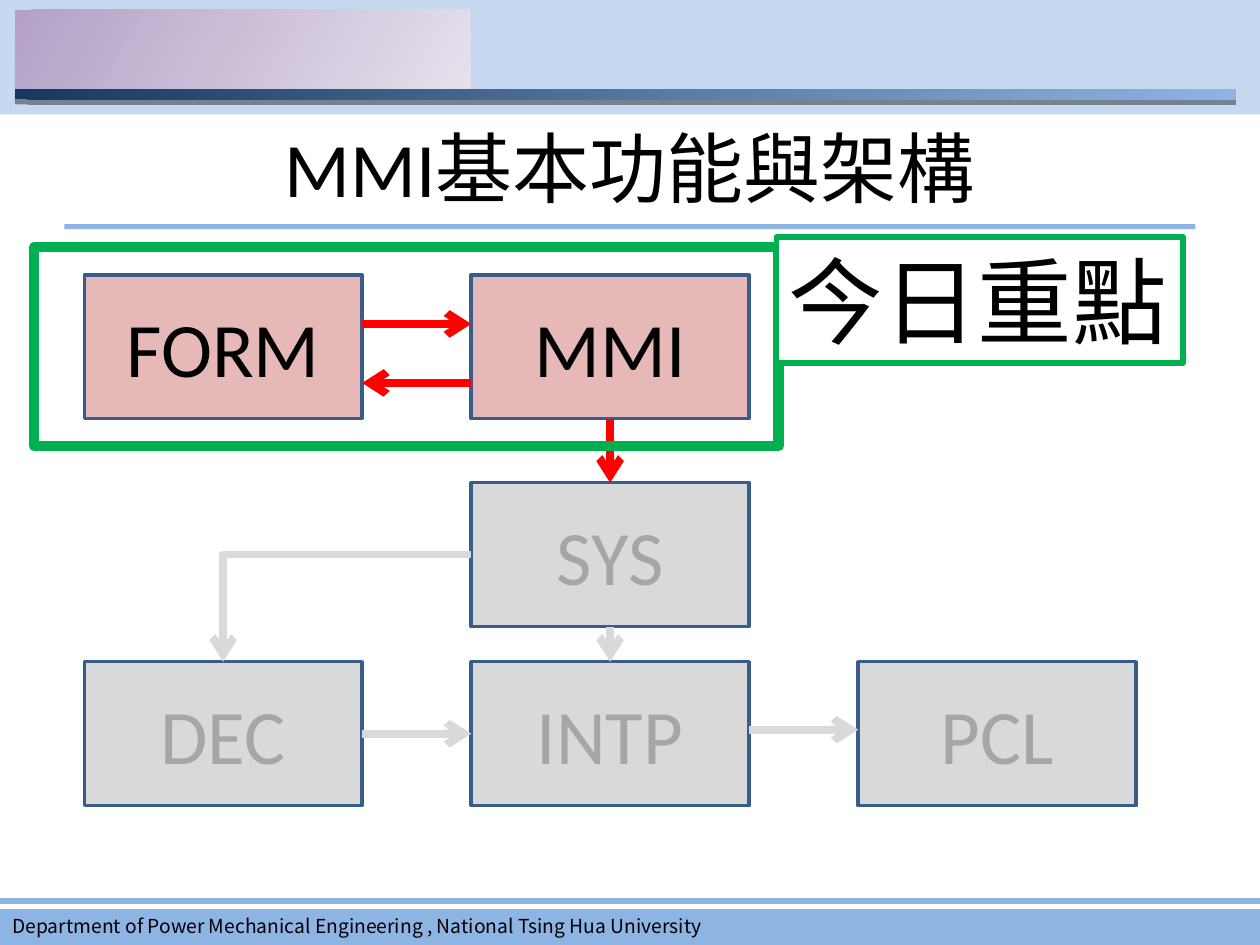
from lxml.etree import SubElement
from pptx import Presentation
from pptx.dml.color import RGBColor
from pptx.enum.shapes import MSO_CONNECTOR as Link, MSO_SHAPE as Shape
from pptx.enum.text import MSO_ANCHOR as Anchor, PP_ALIGN as Align
from pptx.oxml import parse_xml
from pptx.oxml.ns import nsdecls, qn
from pptx.util import Cm, Pt

rgb = RGBColor.from_string
BLUE, GREEN, RED, GREY = "8EB4E3", "00B050", "FF0000", "D9D9D9"

prs = Presentation()
prs.slide_width, prs.slide_height = Cm(25.4), Cm(19.05)
slide = prs.slides.add_slide(prs.slide_layouts[5])
shapes = slide.shapes


def block(area, fill=None, line=None, width=0):
    """Add a rectangle; a pair of fill colours makes a gradient."""
    rect = shapes.add_shape(Shape.RECTANGLE, *map(Cm, area))
    rect.shadow.inherit = False
    if fill is None:
        rect.fill.background()
    elif isinstance(fill, tuple):
        rect.fill.gradient()
        rect.fill.gradient_angle = 330
        for stop, tone in zip(rect.fill.gradient_stops, fill):
            stop.color.rgb = rgb(tone)
    else:
        rect.fill.solid()
        rect.fill.fore_color.rgb = rgb(fill)
    if line:
        rect.line.color.rgb = rgb(line)
        rect.line.width = Pt(width)
    else:
        rect.line.fill.background()
    return rect


def write(frame, text, size, color="000000", align=Align.LEFT, font="Calibri"):
    frame.word_wrap = True
    frame.text = text
    para = frame.paragraphs[0]
    para.alignment = align
    para.font.size = Pt(size)
    para.font.name = font
    para.font.color.rgb = rgb(color)


# Header and footer bands
block((0, 0, 25.4, 2.31), "C6D9F1")
block((0.3, 0.2, 9.2, 1.6), ("B3A2C7", "E6E0EC"))
bar = block((0.3, 1.8, 24.61, 0.2), ("17375E", BLUE))
effects = bar._element.spPr.find(qn("a:effectLst"))
effects.append(parse_xml(
    f'<a:outerShdw {nsdecls("a")} dist="38100" dir="5400000" rotWithShape="0">'
    '<a:srgbClr val="000000"><a:alpha val="40000"/></a:srgbClr></a:outerShdw>'))
block((0, 18.33, 25.4, 0.72), BLUE)
block((0, 18.14, 25.4, 0.05), BLUE, BLUE, 2)
block((1.3, 4.52, 22.8, 0.1), BLUE)
foot = shapes.add_textbox(Cm(0), Cm(18.31), Cm(15.7), Cm(0.74))
write(foot.text_frame,
      "Department of Power Mechanical Engineering , National Tsing Hua University",
      11, font="Noto Sans CJK SC")

# Title
title = shapes.title
title.left, title.top, title.width, title.height = map(Cm, (1.27, 1.78, 22.86, 3.18))
title.text_frame.vertical_anchor = Anchor.MIDDLE
write(title.text_frame, "MMI基本功能與架構", 44, align=Align.CENTER)

# Modules: name, column, top, fill, text colour
boxes = {}
for name, col, top, fill, ink in (
        ("FORM", 0, 5.54, "E6B9B8", "000000"),
        ("MMI", 1, 5.54, "E6B9B8", "000000"),
        ("SYS", 1, 9.73, GREY, "A6A6A6"),
        ("DEC", 0, 13.34, GREY, "A6A6A6"),
        ("INTP", 1, 13.34, GREY, "A6A6A6"),
        ("PCL", 2, 13.34, GREY, "A6A6A6")):
    box = block((1.7 + 7.8 * col, top, 5.6, 2.9), fill, "385D8A", 2)
    box.text_frame.vertical_anchor = Anchor.MIDDLE
    write(box.text_frame, name, 44, ink, Align.CENTER)
    boxes[name] = box

# Arrows: ends, colour, and the joined sides where there are any
arrows = (
    ((7.3, 6.53, 9.5, 6.53), RED, None),
    ((9.5, 7.72, 7.3, 7.72), RED, None),
    ((12.3, 8.44, 12.3, 9.73), RED, ("MMI", 2, "SYS", 0)),
    ((9.5, 11.18, 4.5, 13.34), GREY, ("SYS", 1, "DEC", 0)),
    ((12.3, 12.63, 12.3, 13.34), GREY, ("SYS", 2, "INTP", 0)),
    ((7.3, 14.79, 9.5, 14.79), GREY, ("DEC", 3, "INTP", 1)),
    ((15.1, 14.71, 17.3, 14.71), GREY, None))
for ends, color, join in arrows:
    bent = ends[0] != ends[2] and ends[1] != ends[3]
    kind = Link.ELBOW if bent else Link.STRAIGHT
    arrow = shapes.add_connector(kind, *map(Cm, ends))
    if join:
        start, out, goal, into = join
        arrow.begin_connect(boxes[start], out)
        arrow.end_connect(boxes[goal], into)
    arrow.line.color.rgb = rgb(color)
    arrow.line.width = Pt(4.5)
    props = arrow._element.spPr
    if bent:
        props.find(qn("a:prstGeom")).set("prst", "bentConnector2")
    SubElement(props.find(qn("a:ln")), qn("a:tailEnd"), type="arrow")
    SubElement(props, qn("a:effectLst"))

# Focus of the day
block((0.69, 4.98, 15.01, 4.01), None, GREEN, 6)
focus = block((15.65, 4.78, 8.2, 2.54), "FFFFFF", GREEN, 3)
focus.text_frame.vertical_anchor = Anchor.TOP
write(focus.text_frame, "今日重點", 54)

prs.save("out.pptx")
